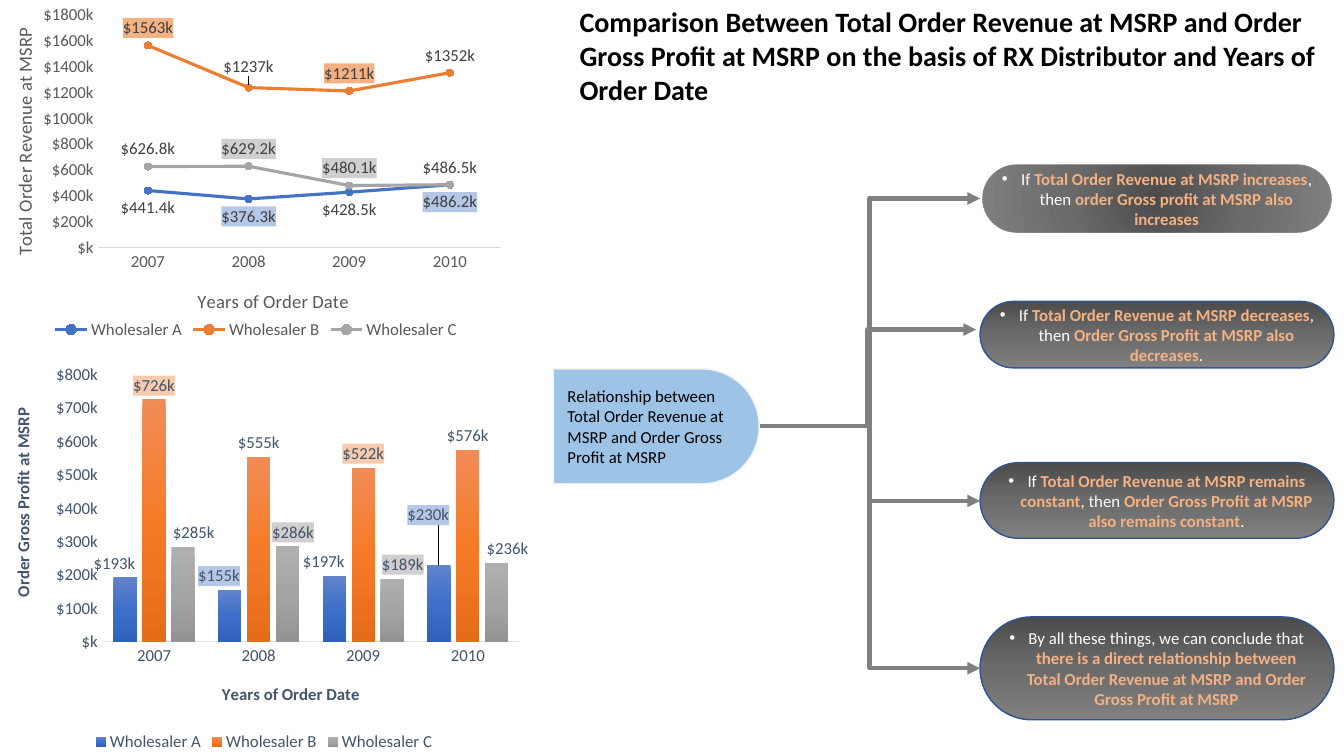
"""Build a slide comparing order revenue and gross profit by wholesaler and year."""
from lxml.etree import SubElement
from pptx import Presentation
from pptx.chart.data import CategoryChartData
from pptx.dml.color import RGBColor
from pptx.enum.chart import XL_CHART_TYPE as CHART, XL_LABEL_POSITION as LABEL
from pptx.enum.chart import XL_LEGEND_POSITION as LEGEND, XL_MARKER_STYLE as MARKER, XL_TICK_MARK as TICK
from pptx.enum.shapes import MSO_CONNECTOR as CONNECTOR, MSO_SHAPE as SHAPE
from pptx.enum.text import MSO_ANCHOR as ANCHOR, PP_ALIGN as ALIGN
from pptx.oxml import parse_xml
from pptx.oxml.ns import nsdecls, qn
from pptx.util import Inches, Pt

FONT = "Calibri"
COLORS = {
    "black": "000000", "white": "FFFFFF", "peach": "F4B183", "sky": "9DC3E6", "pale": "F2F2F2",
    "gray": "808080", "navy": "325491", "text": "595959", "label": "404040", "slate": "44546A",
    "rule": "D9D9D9", "bar rule": "E0E5EB", "A": "4472C4", "B": "ED7D31", "C": "A5A5A5",
    "blue mark": "B4C7E7", "orange mark": "F8CBAD", "gray mark": "D0CECE",
}
RGB = {name: RGBColor.from_string(code) for name, code in COLORS.items()}
GRADIENTS = {
    "A": ["6183CB", "3E70CA", "3062BB"], "B": ["F18C57", "F67B28", "E56C19"],
    "C": ["AFAFAF", "A5A5A5", "939393"], "pill": ["4C4C4C", "6B6B6B", "808080"],
}


def paint_gradient(fill, properties, name, radial=False):
    fill.solid()
    stops = "".join(f'<a:gs pos="{i * 50000}"><a:srgbClr val="{code}"/></a:gs>'
                    for i, code in enumerate(GRADIENTS[name]))
    direction = ('<a:path path="circle"><a:fillToRect l="50000" t="50000" r="50000" b="50000"/></a:path>'
                 if radial else '<a:lin ang="5400000" scaled="0"/>')
    solid = properties.find(qn("a:solidFill"))
    properties.replace(solid, parse_xml(
        f'<a:gradFill {nsdecls("a")} rotWithShape="1"><a:gsLst>{stops}</a:gsLst>{direction}</a:gradFill>'))


def place(parent, index, mode, **edges):
    for old in parent.findall(qn("c:layout")):
        parent.remove(old)
    layout = parse_xml(f'<c:layout {nsdecls("c")}><c:manualLayout/></c:layout>')
    settings = {"layoutTarget": "inner"} if "w" in edges else {}
    if mode == "edge":
        settings.update(xMode="edge", yMode="edge")
    for tag, value in {**settings, **edges}.items():
        SubElement(layout[0], qn(f"c:{tag}")).set("val", str(value))
    parent.insert(index, layout)


deck = Presentation()
deck.slide_width, deck.slide_height = Inches(13.33), Inches(7.5)
slide = deck.slides.add_slide(deck.slide_layouts[6])
shapes = slide.shapes

for words, box, size, bold in [
    ("Comparison Between Total Order Revenue at MSRP and Order Gross Profit at MSRP "
     "on the basis of RX Distributor and Years of Order Date", (5.65, 0, 7.84, 1.11), 20, True),
]:
    heading = shapes.add_textbox(*map(Inches, box)).text_frame
    heading.word_wrap = True
    run = heading.paragraphs[0].add_run()
    run.text = words
    run.font.name, run.font.size, run.font.bold = FONT, Pt(size), bold
    run.font.color.rgb = RGB["black"]

THOUSANDS, TENTHS = "[$$-409]#,\\k", "[$$-409]#.0,\\k"
charts = [
    dict(kind=CHART.LINE_MARKERS, box=(-0.02, 0, 5.12, 3.41), top=1800000, step=200000,
         text="text", label="label", rule="rule", title_size=13.3, title_bold=False,
         plot=dict(x=0.193, y=0.043, w=0.78, h=0.678),
         titles=[("Years of Order Date", 0.38, 0.83), ("Total Order Revenue at MSRP", 0.02, 0.07)],
         series=[
             ("A", [441400, 376300, 428500, 486200], TENTHS, LABEL.BELOW,
              {1: ("blue mark", 0, 0), 3: ("blue mark", 0, 0)}),
             ("B", [1563000, 1237000, 1211000, 1352000], THOUSANDS, LABEL.ABOVE,
              {0: ("peach", 0, 0), 1: (None, 0, -0.01), 2: ("peach", 0, 0)}),
             ("C", [626800, 629200, 480100, 486500], TENTHS, LABEL.ABOVE,
              {1: ("gray mark", 0, 0), 2: ("gray mark", 0, 0)})]),
    dict(kind=CHART.COLUMN_CLUSTERED, box=(-0.02, 3.54, 5.28, 3.96), top=800000, step=100000,
         text="slate", label="slate", rule="bar rule", title_size=12, title_bold=True,
         plot=dict(x=0.195, y=0.045, w=0.786, h=0.669),
         titles=[("Years of Order Date", 0.415, 0.81), ("Order Gross Profit at MSRP", 0.02, 0.12)],
         series=[
             ("A", [193000, 155000, 197000, 230000], THOUSANDS, LABEL.OUTSIDE_END,
              {0: (None, -0.02, 0), 1: ("blue mark", -0.02, 0), 2: (None, -0.02, 0),
               3: ("blue mark", -0.02, -0.09)}),
             ("B", [726000, 555000, 522000, 576000], THOUSANDS, LABEL.OUTSIDE_END,
              {0: ("orange mark", 0, 0), 2: ("orange mark", 0, 0)}),
             ("C", [285000, 286000, 189000, 236000], THOUSANDS, LABEL.OUTSIDE_END,
              {0: (None, 0.02, 0), 1: ("gray mark", 0.01, 0), 2: ("gray mark", 0.02, 0),
               3: (None, 0.02, 0)})]),
]
for spec_row in charts:
    data = CategoryChartData()
    data.categories = ["2007", "2008", "2009", "2010"]
    for letter, values, *rest in spec_row["series"]:
        data.add_series(f"Wholesaler {letter}", values)
    chart = shapes.add_chart(spec_row["kind"], *map(Inches, spec_row["box"]), data).chart
    chart.has_title = False
    chart.font.name, chart.font.size = FONT, Pt(12)
    chart.font.color.rgb = RGB[spec_row["text"]]
    chart.has_legend = True
    chart.legend.position, chart.legend.include_in_layout = LEGEND.BOTTOM, False
    place(chart._chartSpace.chart.plotArea, 0, "edge", **spec_row["plot"])

    years, dollars = chart.category_axis, chart.value_axis
    dollars.minimum_scale, dollars.maximum_scale = 0, spec_row["top"]
    dollars.major_unit = spec_row["step"]
    dollars.tick_labels.number_format = THOUSANDS
    dollars.tick_labels.number_format_is_linked = False
    dollars.format.line.fill.background()
    years.format.line.color.rgb, years.format.line.width = RGB[spec_row["rule"]], Pt(0.75)
    for axis, (words, x, y) in zip((years, dollars), spec_row["titles"]):
        axis.has_major_gridlines = False
        axis.major_tick_mark = axis.minor_tick_mark = TICK.NONE
        caption = axis.axis_title.text_frame
        run = caption.paragraphs[0].add_run()
        run.text = words
        run.font.name, run.font.size = FONT, Pt(spec_row["title_size"])
        run.font.bold = spec_row["title_bold"]
        run.font.color.rgb = RGB[spec_row["text"]]
        caption._txBody.bodyPr.set("rot", "-5400000" if axis is dollars else "0")
        place(axis.axis_title._element, 1, "edge", x=x, y=y)

    plot = chart.plots[0]
    plot.vary_by_categories = False
    is_line = spec_row["kind"] == CHART.LINE_MARKERS
    if not is_line:
        plot.gap_width, plot.overlap = 100, -24
    for series, (letter, values, number_format, position, marks) in zip(plot.series, spec_row["series"]):
        if is_line:
            series.smooth = False
            series.format.line.color.rgb, series.format.line.width = RGB[letter], Pt(2.25)
            series.marker.style, series.marker.size = MARKER.CIRCLE, 5
            series.marker.format.fill.solid()
            series.marker.format.fill.fore_color.rgb = RGB[letter]
            series.marker.format.line.color.rgb = RGB[letter]
        else:
            paint_gradient(series.format.fill, series._element.get_or_add_spPr(), letter)
        labels = series.data_labels
        labels.show_value, labels.position = True, position
        labels.number_format, labels.number_format_is_linked = number_format, False
        labels.font.name, labels.font.size = FONT, Pt(12)
        labels.font.color.rgb = RGB[spec_row["label"]]
        for index, (mark, dx, dy) in marks.items():
            point_label = series.points[index].data_label
            point_label.position = position
            point_label.font.name, point_label.font.size = FONT, Pt(12)
            point_label.font.color.rgb = RGB[spec_row["label"]]
            element = series._element.xpath(f'c:dLbls/c:dLbl[c:idx/@val="{index}"]')[0]
            for old in element.findall(qn("c:spPr")):
                element.remove(old)
            text_properties = element.find(qn("c:txPr"))
            text_properties.addprevious(parse_xml(
                f'<c:numFmt {nsdecls("c")} formatCode="{number_format}" sourceLinked="0"/>'))
            if mark:
                text_properties.addprevious(parse_xml(
                    f'<c:spPr {nsdecls("c", "a")}><a:solidFill><a:srgbClr val="{COLORS[mark]}"/>'
                    '</a:solidFill></c:spPr>'))
            if dx or dy:
                place(element, 1, "factor", x=dx, y=dy)

REVENUE = "Total Order Revenue at MSRP"
findings = [
    (1.61, 0.72, (9.72, 1.97), ["If ", f"{REVENUE} increases", ", then ",
                                "order Gross profit at MSRP also increases"]),
    (2.99, 0.66, (9.68, 3.27), ["If ", f"{REVENUE} decreases", ", then ",
                                "Order Gross Profit at MSRP also decreases", "."]),
    (4.59, 0.75, (9.72, 4.97), ["If ", f"{REVENUE} remains constant", ", then ",
                                "Order Gross Profit at MSRP also remains constant", "."]),
    (6.12, 1.02, (9.72, 6.63), ["By all these things, we can conclude that ",
                                f"there is a direct relationship between {REVENUE} and Order Gross Profit at MSRP"]),
]
for row, (top, height, tip, phrases) in enumerate(findings):
    pill = shapes.add_shape(SHAPE.ROUNDED_RECTANGLE, *map(Inches, (9.72, top, 3.51, height)))
    pill.adjustments[0] = 0.5
    pill.shadow.inherit = False
    paint_gradient(pill.fill, pill._element.spPr, "pill", radial=row == 0)
    pill.line.color.rgb, pill.line.width = RGB["navy" if row else "white"], Pt(1 if row else 3)
    pill.text_frame.word_wrap, pill.text_frame.vertical_anchor = True, ANCHOR.MIDDLE
    finding = pill.text_frame.paragraphs[0]
    finding.alignment = ALIGN.CENTER
    indent = finding._p.get_or_add_pPr()
    indent.set("marL", str(Inches(0.19)))
    indent.set("indent", str(-Inches(0.19)))
    SubElement(indent, qn("a:buFont")).set("typeface", "Arial")
    SubElement(indent, qn("a:buChar")).set("char", "•")
    for order, phrase in enumerate(phrases):
        run = finding.add_run()
        run.text = phrase
        run.font.name, run.font.size, run.font.bold = FONT, Pt(12), order % 2 == 1
        run.font.color.rgb = RGB["peach" if order % 2 else "white"]

    branch = shapes.add_connector(CONNECTOR.ELBOW, *map(Inches, (7.53, 4.23, *tip)))
    branch.line.color.rgb, branch.line.width = RGB["gray"], Pt(3)
    SubElement(branch.line._get_or_add_ln(), qn("a:tailEnd")).set("type", "triangle")
    SubElement(branch._element.spPr, qn("a:effectLst"))

hub = shapes.add_shape(SHAPE.ROUND_2_SAME_RECTANGLE, *map(Inches, (5.94, 3.21, 1.14, 2.04)))
hub.rotation = 90
hub.adjustments[0], hub.adjustments[1] = 0.5, 0
hub.shadow.inherit = False
hub.fill.solid()
hub.fill.fore_color.rgb = RGB["sky"]
hub.line.color.rgb, hub.line.width = RGB["pale"], Pt(1)
topic = shapes.add_textbox(*map(Inches, (5.53, 3.78, 1.82, 0.91))).text_frame
topic.word_wrap = True
run = topic.paragraphs[0].add_run()
run.text = f"Relationship between {REVENUE} and Order Gross Profit at MSRP"
run.font.name, run.font.size = FONT, Pt(12)
run.font.color.rgb = RGB["black"]

deck.save("out.pptx")
